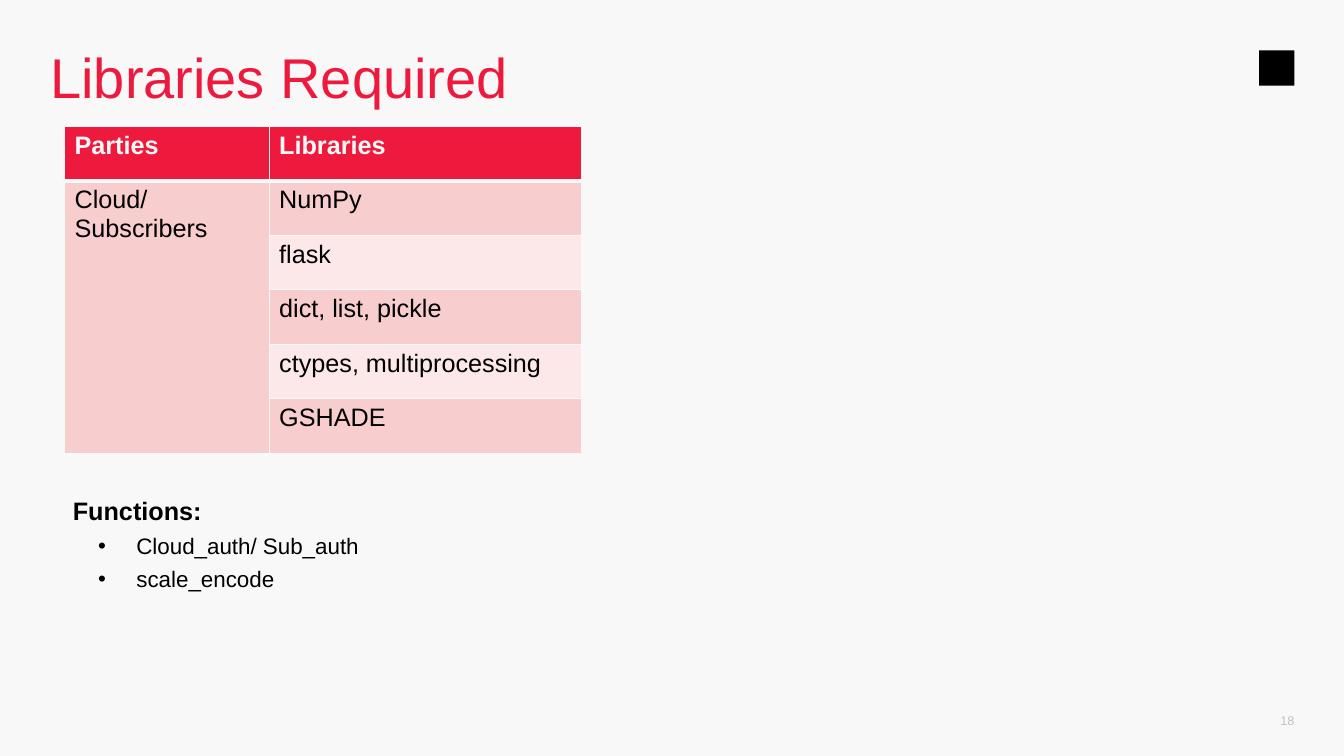
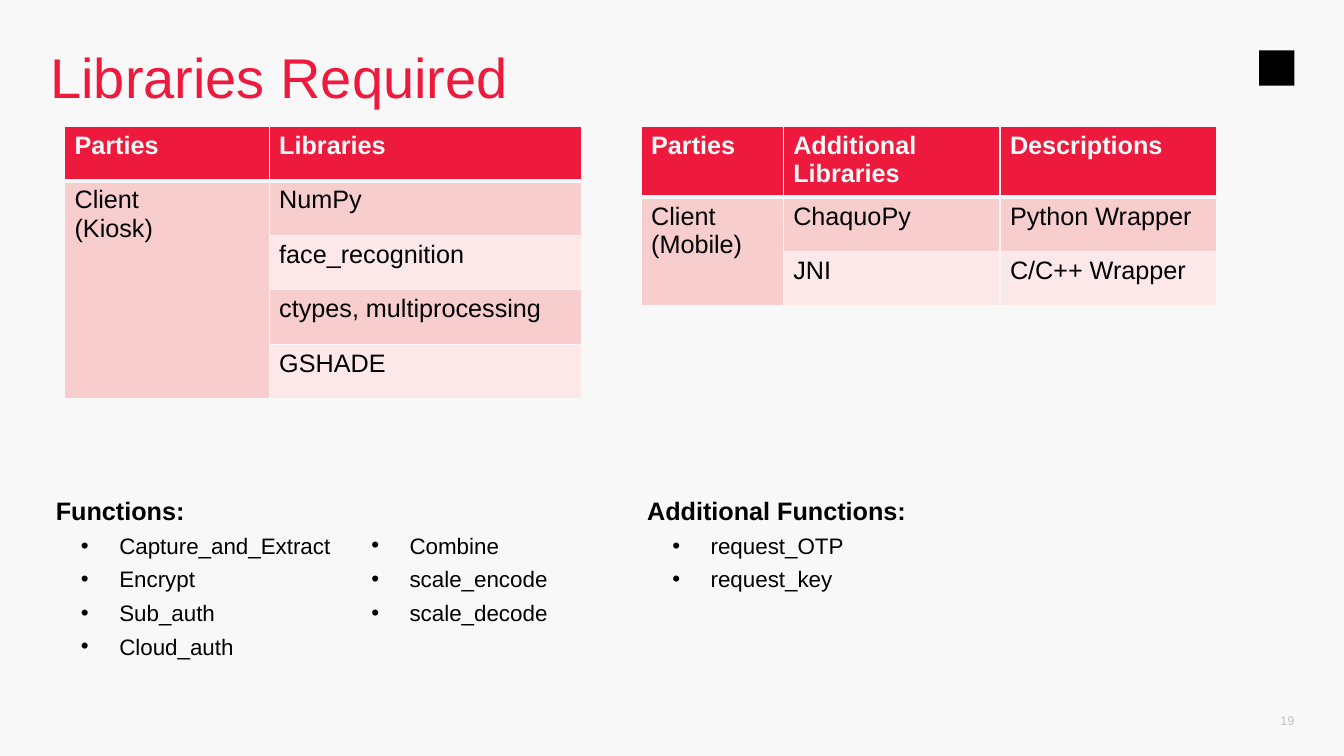
from dataclasses import dataclass

from lxml import etree
from pptx import Presentation
from pptx.dml.color import RGBColor
from pptx.enum.shapes import MSO_SHAPE
from pptx.enum.text import MSO_ANCHOR, PP_ALIGN
from pptx.oxml.ns import qn
from pptx.slide import Slide
from pptx.util import Inches, Length, Pt

SQUARE = MSO_SHAPE.RECTANGLE
MIDDLE, RIGHT = MSO_ANCHOR.MIDDLE, PP_ALIGN.RIGHT

# Shared style
FONT = "Arial"
PAPER = RGBColor(0xF8, 0xF8, 0xF8)
RED = RGBColor(0xED, 0x1A, 0x3D)
BLACK = RGBColor(0x00, 0x00, 0x00)
GRAY = RGBColor(0xC0, 0xC2, 0xC4)
BANDS = (RGBColor(0xF8, 0xCD, 0xCE), RGBColor(0xFC, 0xE8, 0xE8))
TITLE = "Libraries Required"

# Grid of square cells, 80 columns by 45 rows
SLIDE_WIDTH, SLIDE_HEIGHT = Inches(13.333), Inches(7.5)
CELL = SLIDE_HEIGHT / 45
MARGIN = 3
TABLE_TOP, ROW_HEIGHT = 7.54, 3.24
LIST_TOP, LIST_WIDTH, LIST_LINE = 29.26, 17.28, 2


@dataclass(frozen=True)
class PartyTable:
    left: float
    columns: tuple[float, ...]
    headers: tuple[str, ...]
    party: tuple[str, ...]
    rows: tuple[tuple[str, ...], ...]


@dataclass(frozen=True)
class FunctionList:
    left: float
    heading: str
    columns: tuple[tuple[str, ...], ...]
    column_width: float = LIST_WIDTH


@dataclass(frozen=True)
class LibraryPage:
    number: int
    tables: tuple[PartyTable, ...]
    lists: tuple[FunctionList, ...]


LIBRARY_COLUMNS = (12.18, 18.6)
LIBRARY_HEADERS = ("Parties", "Libraries")

PAGES = (
    LibraryPage(
        18,
        (PartyTable(3.84, LIBRARY_COLUMNS, LIBRARY_HEADERS, ("Cloud/ Subscribers",),
                    (("NumPy",), ("flask",), ("dict, list, pickle",),
                     ("ctypes, multiprocessing",), ("GSHADE",))),),
        (FunctionList(3.62, "Functions:", (("Cloud_auth/ Sub_auth", "scale_encode"),),
                      column_width=70),),
    ),
    LibraryPage(
        19,
        (PartyTable(3.84, LIBRARY_COLUMNS, LIBRARY_HEADERS, ("Client", "(Kiosk)"),
                    (("NumPy",), ("face_recognition",),
                     ("ctypes, multiprocessing",), ("GSHADE",))),
         PartyTable(38.16, (8.46, 12.9, 12.9),
                    ("Parties", "Additional Libraries", "Descriptions"),
                    ("Client", "(Mobile)"),
                    (("ChaquoPy", "Python Wrapper"), ("JNI", "C/C++ Wrapper")))),
        (FunctionList(2.6, "Functions:",
                      (("Capture_and_Extract", "Encrypt", "Sub_auth", "Cloud_auth"),
                       ("Combine", "scale_encode", "scale_decode"))),
         FunctionList(37.8, "Additional Functions:", (("request_OTP", "request_key"),))),
    ),
)


def grid(cells: float) -> Length:
    return Length(round(cells * CELL))


def add_run(paragraph, text: str, size: float, color: RGBColor, bold: bool = False) -> None:
    run = paragraph.add_run()
    run.text = text
    run.font.name = FONT
    run.font.size = Pt(size)
    run.font.bold = bold
    run.font.color.rgb = color


def next_paragraph(frame, index: int):
    return frame.add_paragraph() if index else frame.paragraphs[0]


def add_text_frame(slide: Slide, left: float, top: float, width: float, height: float):
    box = slide.shapes.add_textbox(grid(left), grid(top), grid(width), grid(height))
    frame = box.text_frame
    frame.word_wrap = True
    frame.margin_left = frame.margin_right = frame.margin_top = frame.margin_bottom = 0
    return frame


# Parts on every slide
def add_page_frame(slide: Slide, number: int) -> None:
    emblem = slide.shapes.add_shape(SQUARE, grid(74.94), grid(MARGIN), grid(2.1), grid(2.1))
    emblem.shadow.inherit = False
    emblem.fill.solid()
    emblem.fill.fore_color.rgb = BLACK
    emblem.line.fill.background()

    title = add_text_frame(slide, MARGIN, MARGIN, 71.5, 3.66).paragraphs[0]
    title.line_spacing = 0.9
    add_run(title, TITLE, 40, RED)

    footer = add_text_frame(slide, 74.5, 41.7, 2.54, 2.4)
    footer.vertical_anchor = MIDDLE
    footer.paragraphs[0].alignment = RIGHT
    add_run(footer.paragraphs[0], str(number), 9, GRAY)


# Tables
def set_borders(cell, top: float, bottom: float) -> None:
    properties = cell._tc.get_or_add_tcPr()
    sides = (("a:lnL", 1), ("a:lnR", 1), ("a:lnT", top), ("a:lnB", bottom))
    for position, (tag, points) in enumerate(sides):
        border = etree.Element(qn(tag), w=str(Pt(points)))
        fill = etree.SubElement(border, qn("a:solidFill"))
        etree.SubElement(fill, qn("a:srgbClr"), val=str(PAPER))
        properties.insert(position, border)


def add_party_table(slide: Slide, data: PartyTable) -> None:
    row_count = len(data.rows) + 1
    table = slide.shapes.add_table(
        row_count, len(data.columns), grid(data.left), grid(TABLE_TOP),
        grid(sum(data.columns)), grid(row_count * ROW_HEIGHT)).table
    table.horz_banding = False
    for column, width in zip(table.columns, data.columns):
        column.width = grid(width)
    for row in table.rows:
        row.height = grid(ROW_HEIGHT)

    headers = tuple((header,) for header in data.headers)
    body = tuple((data.party if index == 0 else (),) + tuple((text,) for text in row)
                 for index, row in enumerate(data.rows))
    for row_index, row in enumerate((headers,) + body):
        is_header = row_index == 0
        for column_index, lines in enumerate(row):
            cell = table.cell(row_index, column_index)
            cell.fill.solid()
            cell.fill.fore_color.rgb = RED if is_header else BANDS[(row_index - 1) % 2]
            set_borders(cell, 3 if row_index == 1 else 1, 3 if is_header else 1)
            for index, line in enumerate(lines):
                add_run(next_paragraph(cell.text_frame, index), line, 18,
                        PAPER if is_header else BLACK, is_header)
    table.cell(1, 0).merge(table.cell(row_count - 1, 0))


# Function lists
def set_indent(paragraph, left: float, first: float, bullet: str = "") -> None:
    properties = paragraph._p.get_or_add_pPr()
    properties.set("marL", str(Inches(left)))
    properties.set("indent", str(Inches(first)))
    paragraph.line_spacing = Pt(24)
    if bullet:
        etree.SubElement(properties, qn("a:buFont"), typeface=FONT)
        etree.SubElement(properties, qn("a:buChar"), char=bullet)


def add_function_list(slide: Slide, data: FunctionList) -> None:
    for column_index, names in enumerate(data.columns):
        has_heading = column_index == 0
        top = LIST_TOP if has_heading else LIST_TOP + LIST_LINE
        frame = add_text_frame(slide, data.left + column_index * data.column_width, top,
                               data.column_width, LIST_LINE * (len(names) + has_heading))
        if has_heading:
            heading = frame.paragraphs[0]
            set_indent(heading, 0.12, 0)
            add_run(heading, data.heading, 18, BLACK, bold=True)
        for index, name in enumerate(names, start=int(has_heading)):
            item = next_paragraph(frame, index)
            item.level = 1
            set_indent(item, 0.75, -0.38, "•")
            add_run(item, name, 16, BLACK)


def main() -> None:
    deck = Presentation()
    deck.slide_width, deck.slide_height = SLIDE_WIDTH, SLIDE_HEIGHT
    background = deck.slide_master.background.fill
    background.solid()
    background.fore_color.rgb = PAPER
    blank = deck.slide_layouts[6]
    for page in PAGES:
        slide = deck.slides.add_slide(blank)
        add_page_frame(slide, page.number)
        for table in page.tables:
            add_party_table(slide, table)
        for functions in page.lists:
            add_function_list(slide, functions)
    deck.save("out.pptx")


if __name__ == "__main__":
    main()
